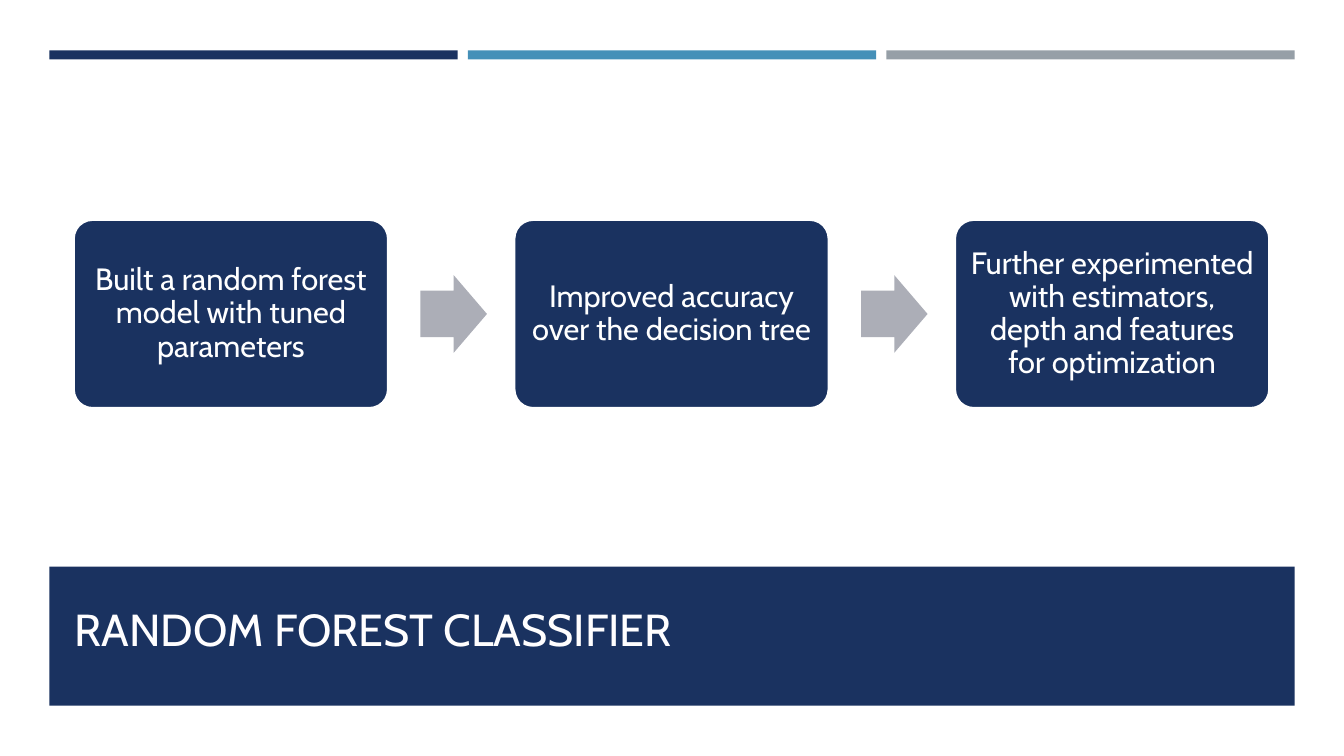
"""Build the Random Forest Classifier slide: three steps joined by arrows above a title band."""
from dataclasses import dataclass

from pptx import Presentation
from pptx.dml.color import RGBColor
from pptx.enum.shapes import MSO_SHAPE
from pptx.enum.text import MSO_ANCHOR, MSO_AUTO_SIZE, PP_ALIGN
from pptx.util import Inches, Pt

RECT = MSO_SHAPE.RECTANGLE
CARD = MSO_SHAPE.ROUNDED_RECTANGLE
ARROW = MSO_SHAPE.RIGHT_ARROW
LEFT, CENTER = PP_ALIGN.LEFT, PP_ALIGN.CENTER
MIDDLE, BOTTOM = MSO_ANCHOR.MIDDLE, MSO_ANCHOR.BOTTOM
NO_AUTOFIT = MSO_AUTO_SIZE.NONE


@dataclass(frozen=True)
class Theme:
    font: str = "Cabin"
    navy: str = "1A3260"
    blue: str = "4590B8"
    gray: str = "969FA7"
    arrow: str = "ACAEB7"
    white: str = "FFFFFF"
    title_text: str = "FFFEFF"
    title_size: int = 32
    step_size: int = 22


theme = Theme()
deck = Presentation()
deck.slide_width, deck.slide_height = Inches(13.33), Inches(7.5)
slide = deck.slides.add_slide(deck.slide_layouts[5])


def add_block(kind, left, top, width, height, color):
    block = slide.shapes.add_shape(kind, Inches(left), Inches(top), Inches(width), Inches(height))
    block.shadow.inherit = False
    block.fill.solid()
    block.fill.fore_color.rgb = RGBColor.from_string(color)
    block.line.fill.background()
    return block


def write(holder, text, *, size, color, align, anchor, spacing=1.0):
    frame = holder.text_frame
    frame.word_wrap = True
    frame.auto_size = NO_AUTOFIT
    frame.vertical_anchor = anchor
    paragraph = frame.paragraphs[0]
    paragraph.alignment = align
    paragraph.line_spacing = spacing
    run = paragraph.add_run()
    run.text = text
    run.font.name = theme.font
    run.font.size = Pt(size)
    run.font.color.rgb = RGBColor.from_string(color)
    return frame


for column, color in enumerate([theme.navy, theme.blue, theme.gray]):
    add_block(RECT, 0.49 + column * 4.15, 0.5, 4.05, 0.1, color)

add_block(RECT, 0, 0.59, 13.33, 6.91, theme.white)
add_block(RECT, 0.49, 5.62, 12.35, 1.38, theme.navy)

title = slide.shapes.title
title.left, title.top = Inches(0.64), Inches(5.76)
title.width, title.height = Inches(12.06), Inches(0.79)
write(title, "RANDOM FOREST CLASSIFIER", size=theme.title_size, color=theme.title_text,
      align=LEFT, anchor=BOTTOM)
title.element.getparent().append(title.element)

steps = [
    "Built a random forest model with tuned parameters",
    "Improved accuracy over the decision tree",
    "Further experimented with estimators, depth and features for optimization",
]
step_pitch = 4.37
for index, text in enumerate(steps):
    step_left = 0.73 + index * step_pitch
    if index:
        arrow = add_block(ARROW, step_left - 0.93, 2.73, 0.66, 0.77, theme.arrow)
        arrow.adjustments[0], arrow.adjustments[1] = 0.6, 0.5
    step = add_block(CARD, step_left, 2.18, 3.12, 1.87, theme.navy)
    step.adjustments[0] = 0.1
    step.line.color.rgb = RGBColor.from_string(theme.white)
    step.line.width = Pt(1.75)
    frame = write(step, text, size=theme.step_size, color=theme.white,
                  align=CENTER, anchor=MIDDLE, spacing=0.9)
    frame.margin_left = frame.margin_right = Inches(0.09)
    frame.margin_top = frame.margin_bottom = Inches(0.09)

deck.save("out.pptx")
